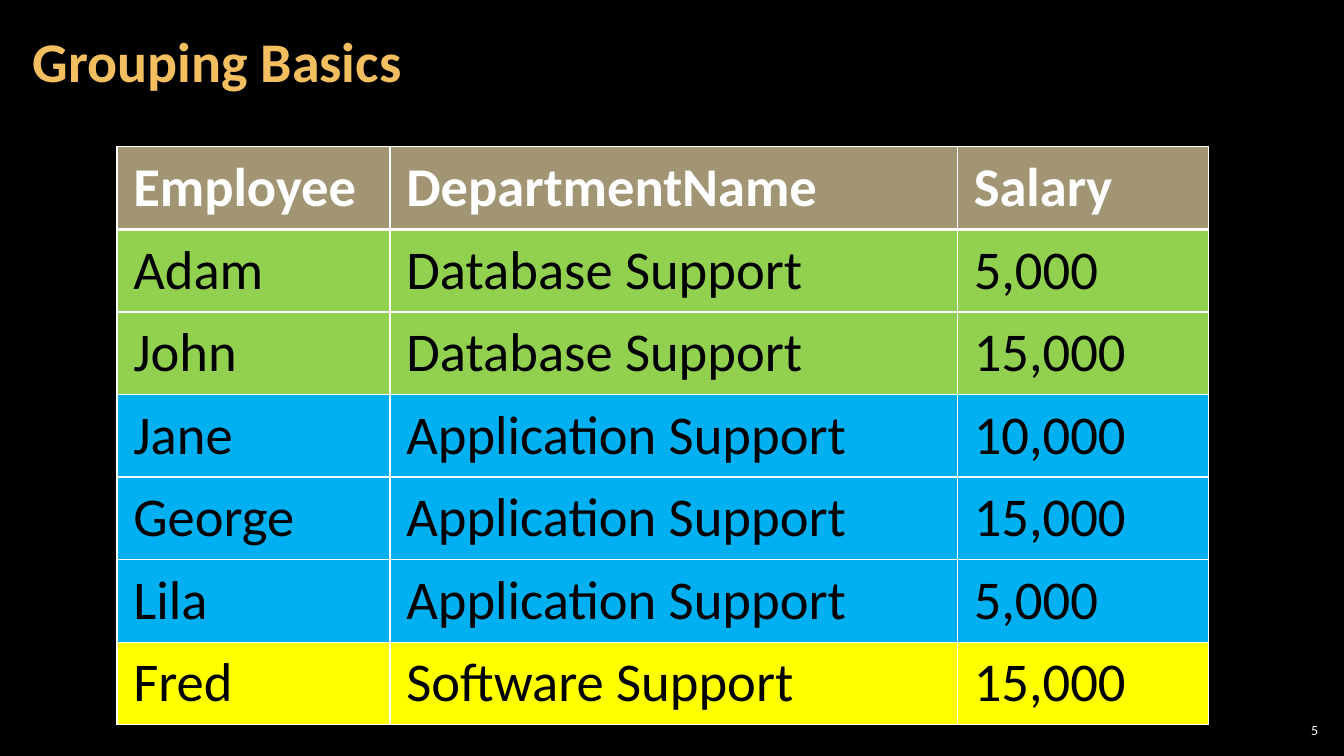
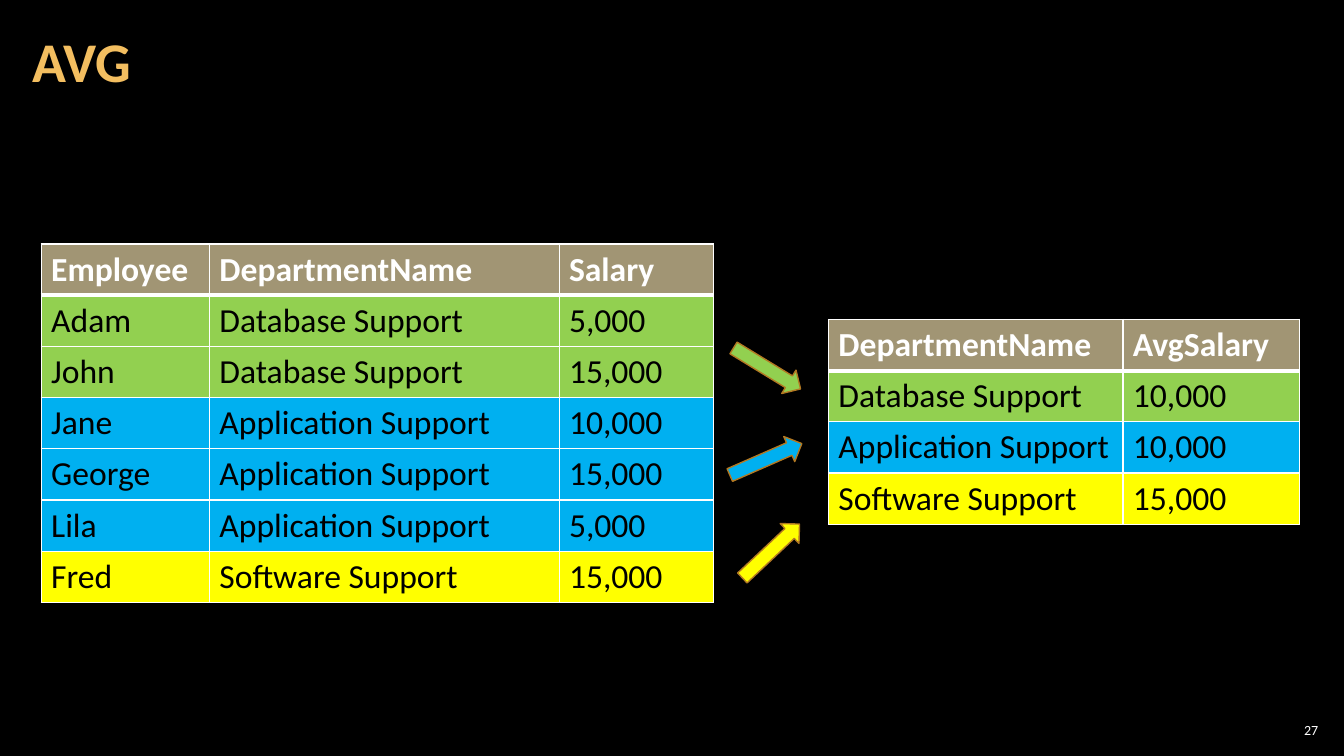
from pptx import Presentation
from pptx.dml.color import RGBColor
from pptx.enum.shapes import MSO_SHAPE
from pptx.enum.text import MSO_ANCHOR, PP_ALIGN
from pptx.oxml.ns import qn
from pptx.util import Cm, Pt
from lxml import etree

ARROW = MSO_SHAPE.RIGHT_ARROW
MIDDLE = MSO_ANCHOR.MIDDLE
LEFT, RIGHT = PP_ALIGN.LEFT, PP_ALIGN.RIGHT

# Shared style
FONT = "Calibri"
BLACK, WHITE = "000000", "FFFFFF"
TITLE, HEADER, OUTLINE = "F3BE60", "A19574", "B27822"
DEPARTMENT_COLORS = {
    "Database Support": "92D050",
    "Application Support": "00B0F0",
    "Software Support": "FFFF00",
}

# Content: the first row of each table is its header
EMPLOYEES = [
    ("Employee", "DepartmentName", "Salary"),
    ("Adam", "Database Support", "5,000"),
    ("John", "Database Support", "15,000"),
    ("Jane", "Application Support", "10,000"),
    ("George", "Application Support", "15,000"),
    ("Lila", "Application Support", "5,000"),
    ("Fred", "Software Support", "15,000"),
]
AVERAGES = [
    ("DepartmentName", "AvgSalary"),
    ("Database Support", "10,000"),
    ("Application Support", "10,000"),
    ("Software Support", "15,000"),
]

# Lengths are in centimetres; margins are (horizontal, vertical)
LARGE = dict(row_height=2.08, size=39, margins=(0.41, 0.2))
SMALL = dict(row_height=1.29, size=24, margins=(0.25, 0.13))
SLIDES = [
    dict(title="Grouping Basics", number="5", arrows=[], tables=[
        dict(rows=EMPLOYEES, left=2.95, top=3.7,
             widths=(6.88, 14.3, 6.32), **LARGE),
    ]),
    dict(title="AVG", number="27", tables=[
        dict(rows=EMPLOYEES, left=1.04, top=6.15,
             widths=(4.24, 8.81, 3.89), **SMALL),
        dict(rows=AVERAGES, left=20.88, top=8.05,
             widths=(7.42, 4.45), **SMALL),
    ], arrows=[
        ("Database Support", 18.34, 8.94, 31.4),
        ("Application Support", 18.31, 11.23, 336.4),
        ("Software Support", 18.44, 13.54, 316.7),
    ]),
]
ARROW_SIZE = (1.98, 0.69)


def rgb(color):
    return RGBColor.from_string(color)


def set_font(p, size, color, bold=False):
    p.font.name = FONT
    p.font.size = Pt(size)
    p.font.bold = bold
    p.font.color.rgb = rgb(color)


def add_text(s, text, box, margins, size, color, bold=False, align=LEFT, spacing=1):
    tf = s.shapes.add_textbox(*map(Cm, box)).text_frame
    tf.word_wrap = True
    tf.vertical_anchor = MIDDLE
    tf.margin_left = tf.margin_right = Cm(margins[0])
    tf.margin_top = tf.margin_bottom = Cm(margins[1])
    p = tf.paragraphs[0]
    p.text = text
    p.alignment = align
    p.line_spacing = spacing
    set_font(p, size, color, bold)


def add_borders(cell, row):
    """White borders, with a thick line under the header row."""
    tc_pr = cell._tc.get_or_add_tcPr()
    widths = {"L": 1, "R": 1, "T": 3 if row == 1 else 1, "B": 3 if row == 0 else 1}
    for side, width in widths.items():
        ln = etree.SubElement(tc_pr, qn(f"a:ln{side}"), w=str(Pt(width)))
        fill = etree.SubElement(ln, qn("a:solidFill"))
        etree.SubElement(fill, qn("a:srgbClr"), val=WHITE)


def add_table(s, rows, left, top, widths, row_height, size, margins):
    table = s.shapes.add_table(
        len(rows), len(widths), Cm(left), Cm(top),
        Cm(sum(widths)), Cm(row_height * len(rows))).table
    for column, width in zip(table.columns, widths):
        column.width = Cm(width)
    department = rows[0].index("DepartmentName")
    for i, values in enumerate(rows):
        table.rows[i].height = Cm(row_height)
        color = DEPARTMENT_COLORS.get(values[department], HEADER)
        for j, text in enumerate(values):
            cell = table.cell(i, j)
            cell.margin_left = cell.margin_right = Cm(margins[0])
            cell.margin_top = cell.margin_bottom = Cm(margins[1])
            add_borders(cell, i)
            cell.fill.solid()
            cell.fill.fore_color.rgb = rgb(color)
            p = cell.text_frame.paragraphs[0]
            p.text = text
            set_font(p, size, BLACK if i else WHITE, bold=i == 0)


def add_arrow(s, department, left, top, rotation):
    arrow = s.shapes.add_shape(ARROW, *map(Cm, (left, top, *ARROW_SIZE)))
    arrow.rotation = rotation
    arrow.shadow.inherit = False
    arrow.fill.solid()
    arrow.fill.fore_color.rgb = rgb(DEPARTMENT_COLORS[department])
    arrow.line.color.rgb = rgb(OUTLINE)
    arrow.line.width = Pt(1)


def main():
    prs = Presentation()
    prs.slide_width, prs.slide_height = Cm(33.87), Cm(19.05)
    background = prs.slide_master.background.fill
    background.solid()
    background.fore_color.rgb = rgb(BLACK)

    for content in SLIDES:
        s = prs.slides.add_slide(prs.slide_layouts[6])
        # Slide number and title
        add_text(s, content["number"], (32.13, 18.14, 1.19, 0.53), (0.1, 0.1),
                 10, WHITE, align=RIGHT)
        add_text(s, content["title"], (0.53, 0.1, 26.59, 3.07), (0.3, 0.1),
                 40, TITLE, bold=True, spacing=0.9)
        # Tables and the arrows between them
        for table in content["tables"]:
            add_table(s, **table)
        for arrow in content["arrows"]:
            add_arrow(s, *arrow)

    prs.save("out.pptx")


if __name__ == "__main__":
    main()
